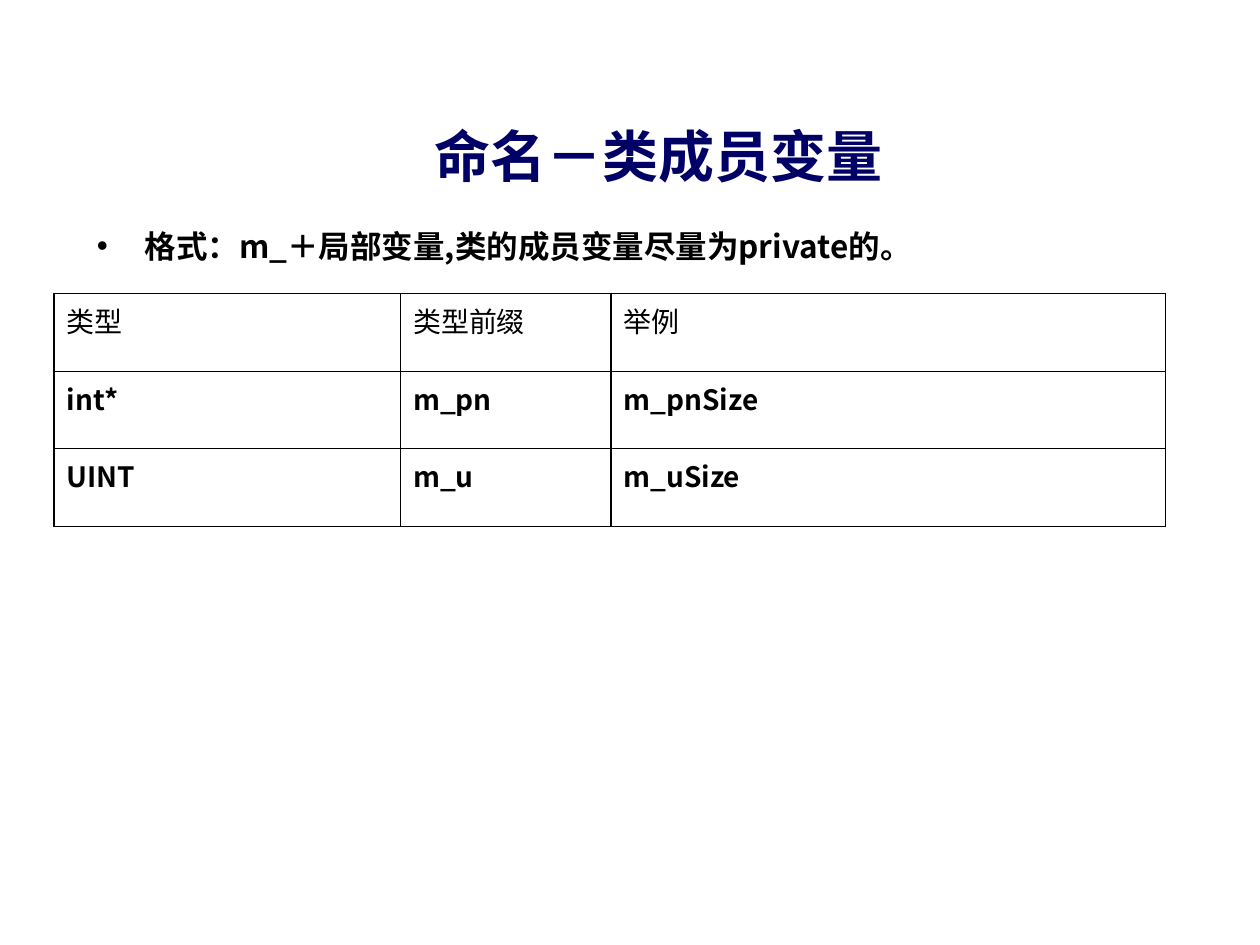
from lxml import etree
from pptx import Presentation
from pptx.dml.color import RGBColor
from pptx.enum.text import MSO_ANCHOR, PP_ALIGN
from pptx.oxml.ns import qn
from pptx.util import Inches, Pt

CENTER = PP_ALIGN.CENTER
MIDDLE = MSO_ANCHOR.MIDDLE
TOP = MSO_ANCHOR.TOP
NAVY = RGBColor(0x00, 0x00, 0x66)
BLACK = RGBColor(0x00, 0x00, 0x00)
CHINESE_FONT = "Noto Sans CJK SC"
TITLE_FORMAT = {"name": "Arial", "size": Pt(32), "bold": True}
RULE_FORMAT = {"name": CHINESE_FONT, "size": Pt(18), "bold": True}
HEADER_FORMAT = {"name": CHINESE_FONT, "size": Pt(16), "bold": False}
EXAMPLE_FORMAT = {**HEADER_FORMAT, "bold": True}
COLUMN_WIDTHS = (2.75, 1.67, 4.4)
ROW_HEIGHTS = (0.62, 0.61, 0.62)
ROWS = (
    ("类型", "类型前缀", "举例"),
    ("int*", "m_pn", "m_pnSize"),
    ("UINT", "m_u", "m_uSize"),
)


def write_text(para, text, font_format, color):
    span = para.add_run()
    span.text = text
    for name, value in font_format.items():
        setattr(span.font, name, value)
    span.font.color.rgb = color
    east_asian = etree.SubElement(span.font._element, qn("a:ea"))
    east_asian.set("typeface", CHINESE_FONT)


def hang_indent(para):
    """Let the first line start 0.38 inches left of the others."""
    properties = para._p.get_or_add_pPr()
    properties.set("marL", str(Inches(0.38)))
    properties.set("indent", str(Inches(-0.38)))
    return properties


def add_title(page, text):
    title = page.shapes.title
    title.left, title.top = Inches(1.06), Inches(0.91)
    title.width, title.height = Inches(8.44), Inches(0.64)
    title.text_frame.vertical_anchor = MIDDLE
    para = title.text_frame.paragraphs[0]
    para.alignment = CENTER
    write_text(para, text, TITLE_FORMAT, NAVY)


def add_bullet(page, text):
    box = page.shapes.add_textbox(Inches(0.67), Inches(1.75), Inches(8.28), Inches(0.66))
    box.text_frame.word_wrap = True
    para = box.text_frame.paragraphs[0]
    properties = hang_indent(para)
    etree.SubElement(properties, qn("a:buFont")).set("typeface", "Arial")
    etree.SubElement(properties, qn("a:buChar")).set("char", "•")
    write_text(para, text, RULE_FORMAT, BLACK)


def draw_borders(cell):
    properties = cell._tc.get_or_add_tcPr()
    for position, side in enumerate(("a:lnL", "a:lnR", "a:lnT", "a:lnB")):
        line = etree.Element(qn(side), w=str(Pt(1)))
        fill = etree.SubElement(line, qn("a:solidFill"))
        etree.SubElement(fill, qn("a:srgbClr")).set("val", str(BLACK))
        properties.insert(position, line)


def add_naming_table(page):
    table = page.shapes.add_table(
        len(ROWS), len(COLUMN_WIDTHS), Inches(0.43), Inches(2.33),
        Inches(sum(COLUMN_WIDTHS)), Inches(sum(ROW_HEIGHTS))).table
    table.first_row = table.horz_banding = False
    for column, width in zip(table.columns, COLUMN_WIDTHS):
        column.width = Inches(width)
    for row, height in zip(table.rows, ROW_HEIGHTS):
        row.height = Inches(height)
    for row_index, texts in enumerate(ROWS):
        font_format = EXAMPLE_FORMAT if row_index else HEADER_FORMAT
        for column_index, text in enumerate(texts):
            cell = table.cell(row_index, column_index)
            cell.fill.background()
            cell.vertical_anchor = TOP
            draw_borders(cell)
            para = cell.text_frame.paragraphs[0]
            hang_indent(para)
            write_text(para, text, font_format, BLACK)


def main():
    deck = Presentation()
    deck.slide_width, deck.slide_height = Inches(10), Inches(7.5)
    page = deck.slides.add_slide(deck.slide_layouts[5])
    add_title(page, "命名－类成员变量 ")
    add_bullet(page, "格式：m_＋局部变量,类的成员变量尽量为private的。")
    add_naming_table(page)
    deck.save("out.pptx")


if __name__ == "__main__":
    main()
